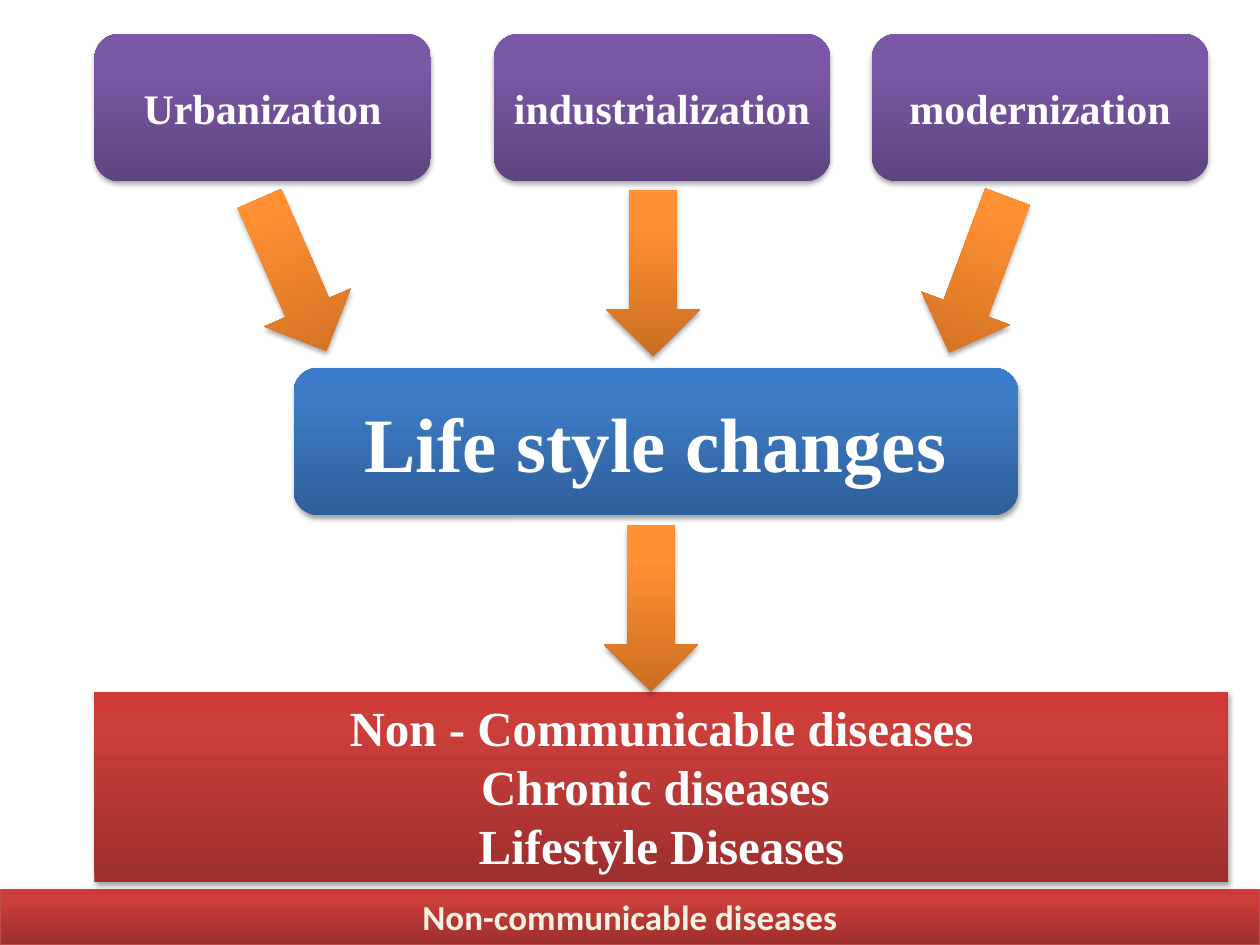
from lxml.etree import SubElement
from pptx import Presentation
from pptx.dml.color import RGBColor
from pptx.enum.shapes import MSO_SHAPE
from pptx.enum.text import MSO_ANCHOR, PP_ALIGN
from pptx.oxml.ns import qn
from pptx.util import Inches, Pt

PURPLE = ("5F4480", "7B58A6", "7C57A8")
ORANGE = ("CC6E20", "FF9034", "FF9136")
BLUE = ("2F5F99", "3D7CC7", "3A7CCB")
RED = ("9C2F2D", "CB3E3A", "CE3B37")


def color(code):
    return RGBColor.from_string(code)


def add(node, tag, **attrs):
    return SubElement(node, qn(tag), {key: str(val) for key, val in attrs.items()})


def shade(shape, hues):
    shape.fill.gradient()
    grad = shape.element.spPr.find(qn("a:gradFill"))
    for child in list(grad):
        grad.remove(child)
    stops = add(grad, "a:gsLst")
    for pos, hue in zip((0, 80000, 100000), hues):
        add(add(stops, "a:gs", pos=pos), "a:srgbClr", val=hue)
    add(grad, "a:lin", ang=270 * 60000, scaled=0)


def drop(shape):
    shape.shadow.inherit = False
    glow = shape.element.spPr.find(qn("a:effectLst"))
    cast = add(glow, "a:outerShdw", blurRad=Pt(3.1), dist=Pt(1.8),
               dir=90 * 60000, rotWithShape=0)
    add(add(cast, "a:srgbClr", val="000000"), "a:alpha", val=35000)


def block(slide, kind, place, hues):
    shape = slide.shapes.add_shape(kind, *map(Inches, place))
    shade(shape, hues)
    shape.line.fill.background()
    drop(shape)
    return shape


def box(slide, kind, place, hues, lines, size, font="Times New Roman", ink="FFFFFF"):
    shape = block(slide, kind, place, hues)
    frame = shape.text_frame
    frame.word_wrap = True
    flat = kind == MSO_SHAPE.RECTANGLE
    frame.vertical_anchor = MSO_ANCHOR.TOP if flat else MSO_ANCHOR.MIDDLE
    for num, line in enumerate(lines):
        para = frame.add_paragraph() if num else frame.paragraphs[0]
        para.alignment = PP_ALIGN.CENTER
        run = para.add_run()
        run.text = line
        run.font.name = font
        run.font.size = Pt(size)
        run.font.bold = True
        run.font.color.rgb = color(ink)
    return shape


def arrow(slide, left, top, turn=0):
    shape = block(slide, MSO_SHAPE.DOWN_ARROW, (left, top, 0.75, 1.32), ORANGE)
    shape.rotation = turn


def main():
    deck = Presentation()
    deck.slide_width, deck.slide_height = Inches(10), Inches(7.5)
    slide = deck.slides.add_slide(deck.slide_layouts[6])
    rect, round_box = MSO_SHAPE.RECTANGLE, MSO_SHAPE.ROUNDED_RECTANGLE

    foot = box(slide, rect, (0, 7.06, 10, 0.44), RED,
               ["Non-communicable diseases"], 20, "Calibri", "F4F1E3")
    foot.line.color.rgb = color("BF4C48")
    foot.line.width = Pt(0.75)

    causes = ((0.75, "Urbanization"), (3.92, "industrialization"), (6.92, "modernization"))
    for left, word in causes:
        box(slide, round_box, (left, 0.27, 2.67, 1.17), PURPLE, [word], 24)

    box(slide, rect, (0.75, 5.49, 9, 1.51), RED,
        ["Non - Communicable diseases", "Chronic diseases ", "Lifestyle Diseases"], 28)

    for left, top, turn in ((7.39, 1.52, 20.5), (1.95, 1.52, 336.3), (4.81, 1.51, 0)):
        arrow(slide, left, top, turn)
    box(slide, round_box, (2.33, 2.92, 5.75, 1.17), BLUE, ["Life style changes"], 44)
    arrow(slide, 4.79, 4.17)

    deck.save("out.pptx")


if __name__ == "__main__":
    main()
